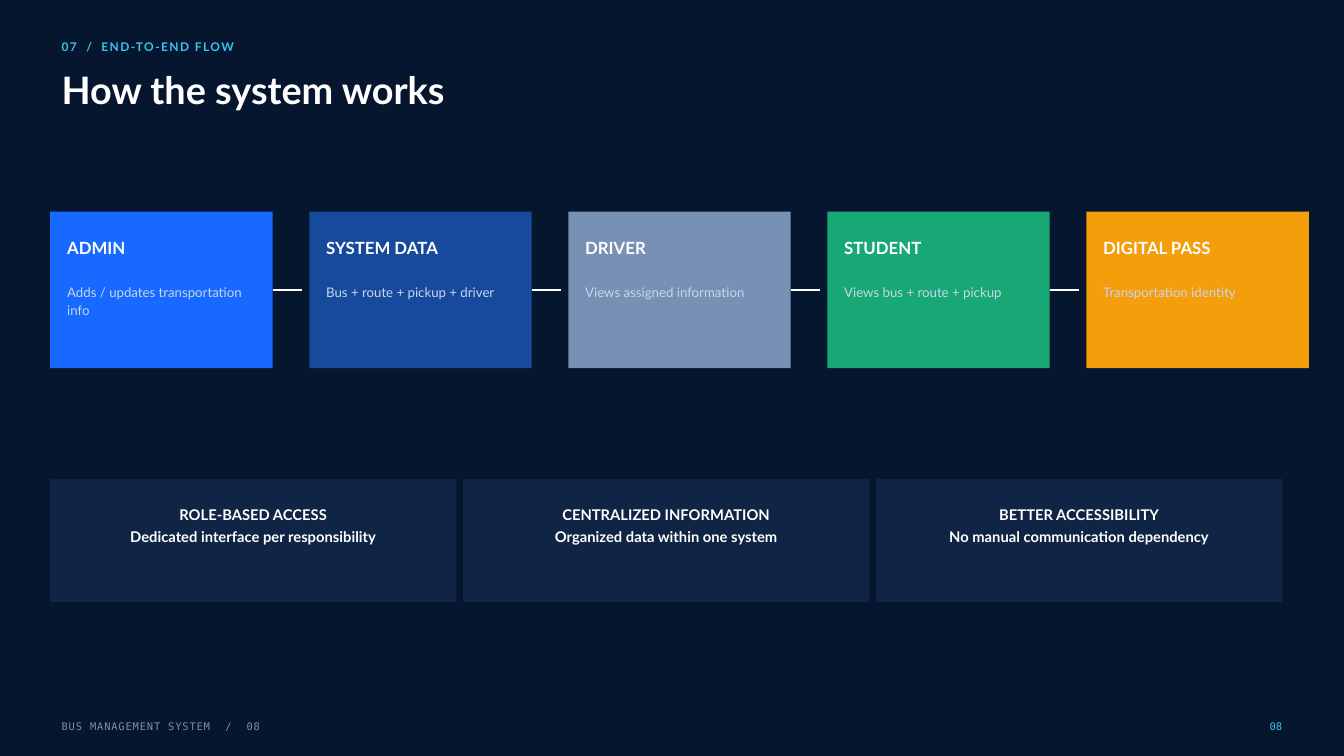
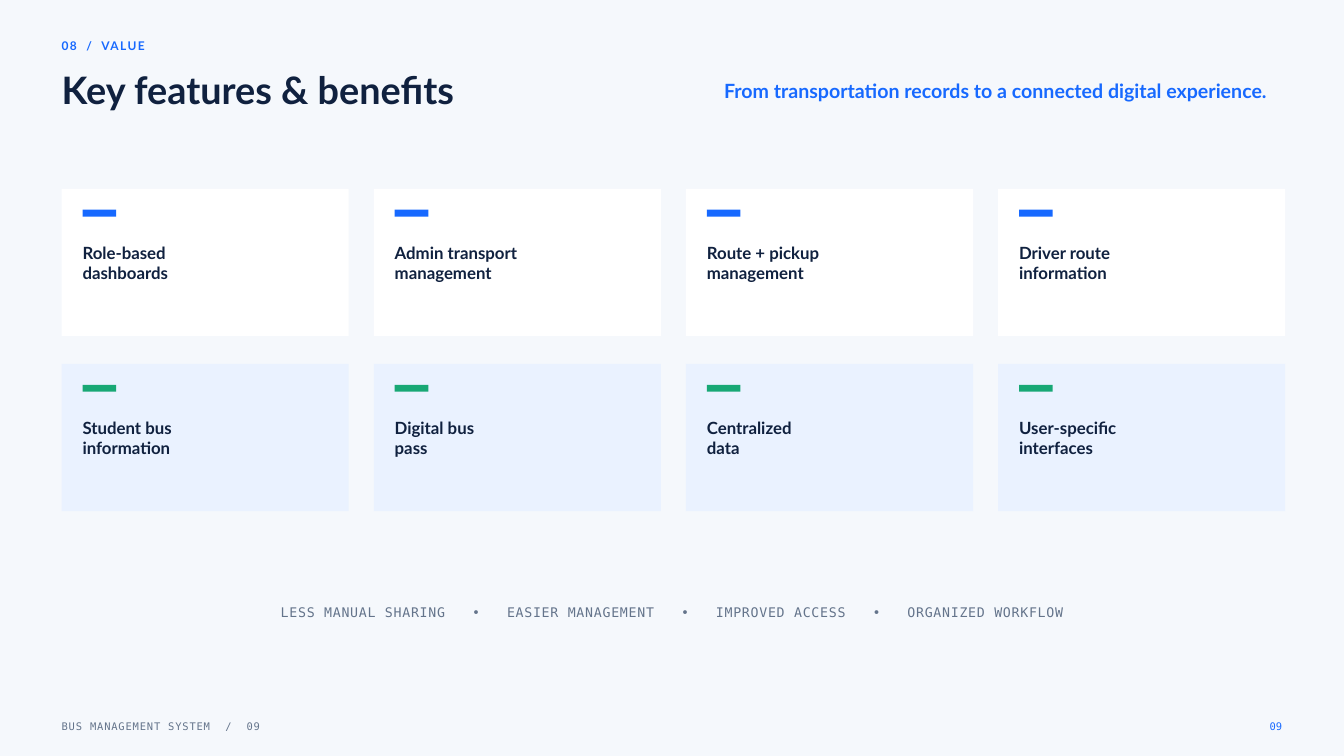
from dataclasses import dataclass

from lxml import etree
from pptx import Presentation
from pptx.dml.color import RGBColor
from pptx.enum.shapes import MSO_CONNECTOR, MSO_SHAPE
from pptx.enum.text import MSO_AUTO_SIZE, PP_ALIGN
from pptx.oxml.ns import qn
from pptx.util import Cm, Pt

RECTANGLE = MSO_SHAPE.RECTANGLE
STRAIGHT = MSO_CONNECTOR.STRAIGHT
FIT_TEXT = MSO_AUTO_SIZE.SHAPE_TO_FIT_TEXT
LEFT, CENTER, RIGHT = PP_ALIGN.LEFT, PP_ALIGN.CENTER, PP_ALIGN.RIGHT
RIGHT_SIDE = 3

COLORS = {
    "night": "07162F", "panel": "102445", "mist": "F5F8FC", "white": "FFFFFF",
    "ink": "10213F", "blue": "1769FF", "navy": "174A9C", "steel": "7890B4",
    "green": "18A875", "amber": "F59E0B", "cyan": "36C5F0", "pale": "C8D6EB",
    "ice": "EAF2FF", "slate": "64748B",
}
SANS, MONO = "Lato", "DejaVu Sans Mono"
MARGIN = 2.33


@dataclass
class TextStyle:
    """Type settings in points; gap is the tracking of spaces around separators."""
    size: float
    leading: float
    font: str = SANS
    bold: bool = True
    tracking: float = 0
    gap: float = 0


EYEBROW = TextStyle(12.8, 17.8, tracking=1.5, gap=5.5)
TITLE = TextStyle(40.5, 43.7)
TAGLINE = TextStyle(21, 29.4)
CARD_TITLE = TextStyle(18, 20.7)
CARD_DETAIL = TextStyle(14.2, 19.2, bold=False)
PILLAR = TextStyle(15.8, 22.8)
CLOSING = TextStyle(14.2, 19.9, MONO, False, 0.8, 19.5)
FOOTER = TextStyle(11.2, 15.7, MONO, False, 0.9, 8.5)
PAGE_NUMBER = TextStyle(11.2, 15.7, MONO, False)


def rgb(name):
    return RGBColor.from_string(COLORS[name])


class Deck:
    def __init__(self):
        self.deck = Presentation()
        self.deck.slide_width, self.deck.slide_height = Cm(50.8), Cm(28.58)
        self.page = None

    def start_page(self, background):
        self.page = self.deck.slides.add_slide(self.deck.slide_layouts[6])
        fill = self.page.background.fill
        fill.solid()
        fill.fore_color.rgb = rgb(background)

    def rectangle(self, left, top, width, height, color):
        box = self.page.shapes.add_shape(
            RECTANGLE, Cm(left), Cm(top), Cm(width), Cm(height))
        box.shadow.inherit = False
        box.fill.solid()
        box.fill.fore_color.rgb = rgb(color)
        box.line.fill.background()
        return box

    def text(self, left, top, width, lines, style, color, align=LEFT):
        """Each line is a string, or a list of pieces set apart by wide spaces."""
        height = Pt(style.leading * len(lines))
        box = self.page.shapes.add_textbox(Cm(left), Cm(top), Cm(width), height)
        frame = box.text_frame
        frame.word_wrap = True
        frame.auto_size = FIT_TEXT
        frame.margin_left = frame.margin_right = 0
        frame.margin_top = frame.margin_bottom = 0
        for index, line in enumerate(lines):
            para = frame.add_paragraph() if index else frame.paragraphs[0]
            para.alignment = align
            para.line_spacing = Pt(style.leading)
            pieces = [line] if isinstance(line, str) else line
            for position, piece in enumerate(pieces):
                if position:
                    self.span(para, " ", style, color, style.gap)
                self.span(para, piece, style, color, style.tracking)

    def span(self, para, words, style, color, tracking):
        span = para.add_run()
        span.text = words
        span.font.name = style.font
        span.font.size = Pt(style.size)
        span.font.bold = style.bold
        span.font.color.rgb = rgb(color)
        if tracking:
            span.font._element.set("spc", str(round(tracking * 100)))

    def link(self, box, end):
        """Draw a line from the right side of a box to a horizontal position."""
        middle = box.top + box.height // 2
        line = self.page.shapes.add_connector(
            STRAIGHT, box.left + box.width, middle, Cm(end), middle)
        line.begin_connect(box, RIGHT_SIDE)
        line.line.color.rgb = rgb("white")
        line.line.width = Pt(3)
        etree.SubElement(line._element.spPr, qn("a:effectLst"))

    def header(self, top, section, title, accent, color):
        self.text(MARGIN, top, 11.9, [section], EYEBROW, accent)
        self.text(MARGIN, top + 1.31, 24, [title], TITLE, color)

    def footer(self, number, color, accent):
        pieces = ["BUS MANAGEMENT SYSTEM", "/", number]
        self.text(MARGIN, 27.13, 16.4, [pieces], FOOTER, color)
        self.text(46.56, 27.13, 1.9, [number], PAGE_NUMBER, accent, RIGHT)


def build_flow(deck):
    steps = [
        ("ADMIN", "Adds / updates transportation info", "blue"),
        ("SYSTEM DATA", "Bus + route + pickup + driver", "navy"),
        ("DRIVER", "Views assigned information", "steel"),
        ("STUDENT", "Views bus + route + pickup", "green"),
        ("DIGITAL PASS", "Transportation identity", "amber"),
    ]
    pillars = [
        ("ROLE-BASED ACCESS", "Dedicated interface per responsibility"),
        ("CENTRALIZED INFORMATION", "Organized data within one system"),
        ("BETTER ACCESSIBILITY", "No manual communication dependency"),
    ]
    edge = 1.9
    deck.start_page("night")
    deck.header(1.4, ["07", "/", "END-TO-END FLOW"], "How the system works",
                "cyan", "white")
    for index, (role, detail, color) in enumerate(steps):
        left = edge + index * 9.79
        box = deck.rectangle(left, 8, 8.41, 5.92, color)
        deck.text(left + 0.64, 9.02, 7.14, [role], CARD_TITLE, "white")
        deck.text(left + 0.64, 10.67, 7.14, [detail], CARD_DETAIL, "pale")
        if index < len(steps) - 1:
            deck.link(box, left + 9.53)
    for index, lines in enumerate(pillars):
        left = edge + index * 15.61
        deck.rectangle(left, 18.1, 15.35, 4.66, "panel")
        deck.text(left + 0.79, 19, 13.77, lines, PILLAR, "white", CENTER)
    deck.footer("08", "steel", "cyan")


def build_benefits(deck):
    rows = [
        ("white", "blue", [
            ("Role-based", "dashboards"), ("Admin transport", "management"),
            ("Route + pickup", "management"), ("Driver route", "information")]),
        ("ice", "green", [
            ("Student bus", "information"), ("Digital bus", "pass"),
            ("Centralized", "data"), ("User-specific", "interfaces")]),
    ]
    deck.start_page("mist")
    deck.header(1.37, ["08", "/", "VALUE"], "Key features & benefits", "blue", "ink")
    deck.text(26.19, 2.82, 21.69,
              ["From transportation records to a connected digital experience."],
              TAGLINE, "blue", RIGHT)
    for row, (color, accent, features) in enumerate(rows):
        top = 7.14 + row * 6.62
        for column, lines in enumerate(features):
            left = MARGIN + column * 11.8
            deck.rectangle(left, top, 10.85, 5.56, color)
            deck.rectangle(left + 0.79, top + 0.79, 1.27, 0.26, accent)
            deck.text(left + 0.79, top + 2.08, 8.73, lines, CARD_TITLE, "ink")
    gains = ["LESS MANUAL SHARING", "•", "EASIER MANAGEMENT", "•",
             "IMPROVED ACCESS", "•", "ORGANIZED WORKFLOW"]
    deck.text(4.5, 22.73, 41.8, [gains], CLOSING, "slate", CENTER)
    deck.footer("09", "slate", "blue")


def main():
    deck = Deck()
    build_flow(deck)
    build_benefits(deck)
    deck.deck.save("out.pptx")


if __name__ == "__main__":
    main()
